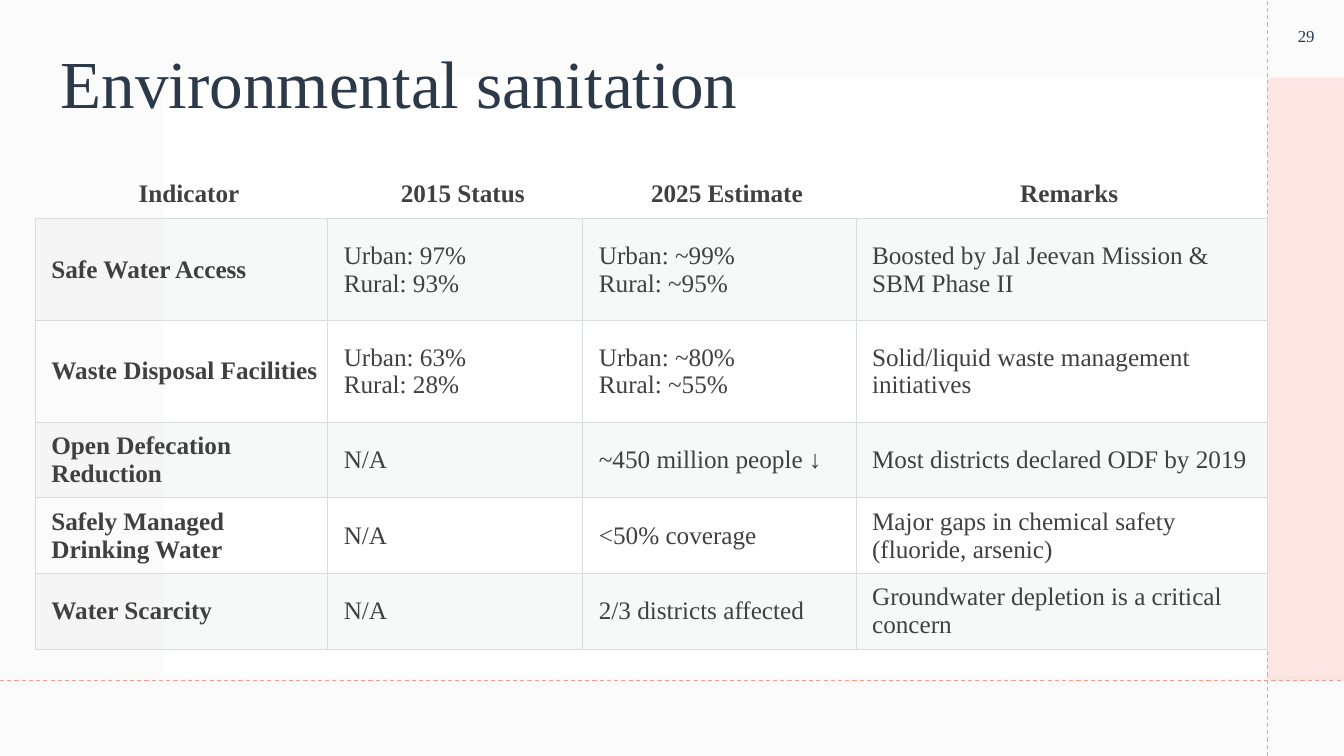
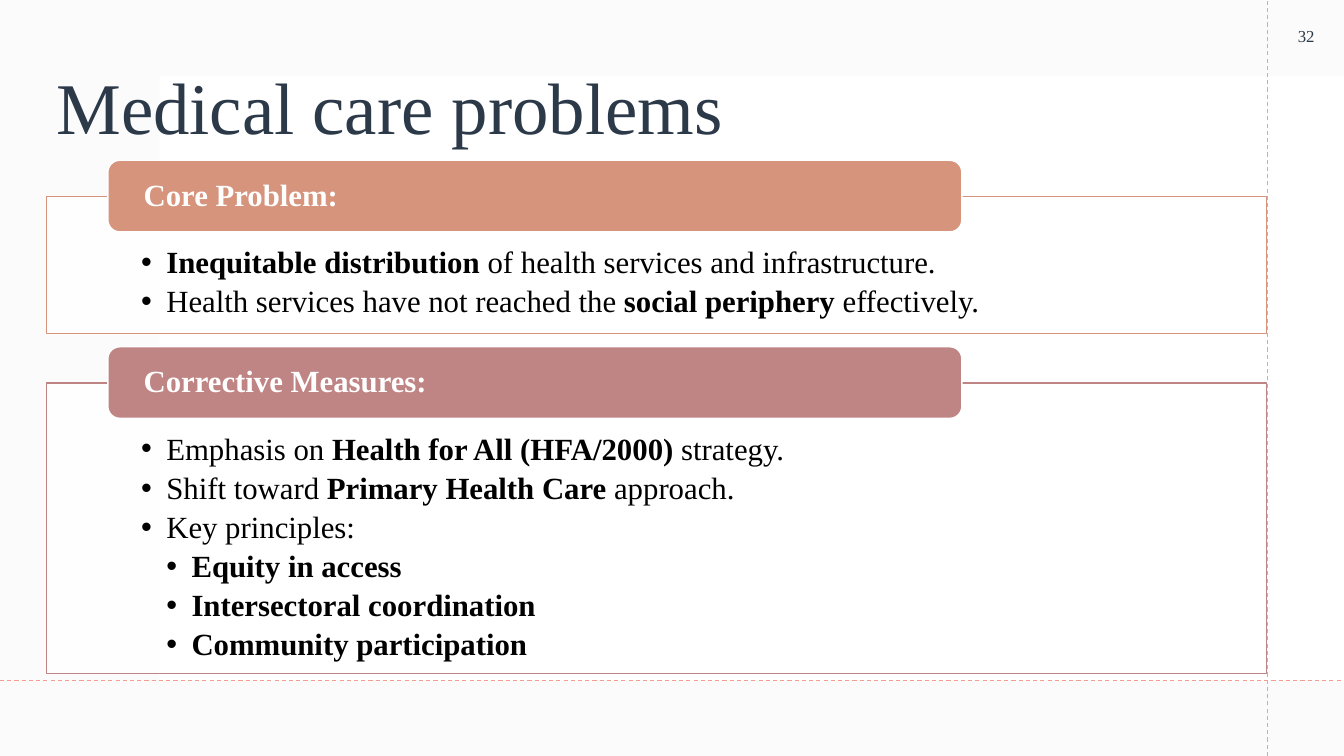
from lxml import etree
from pptx import Presentation
from pptx.dml.color import RGBColor
from pptx.enum.dml import MSO_LINE
from pptx.enum.shapes import MSO_CONNECTOR, MSO_SHAPE
from pptx.enum.text import MSO_ANCHOR, MSO_AUTO_SIZE, PP_ALIGN
from pptx.oxml.ns import qn
from pptx.util import Inches, Pt

RECT = MSO_SHAPE.RECTANGLE
ROUNDED = MSO_SHAPE.ROUNDED_RECTANGLE
STRAIGHT = MSO_CONNECTOR.STRAIGHT
DASH = MSO_LINE.DASH
TOP, MIDDLE, BOTTOM = MSO_ANCHOR.TOP, MSO_ANCHOR.MIDDLE, MSO_ANCHOR.BOTTOM
LEFT, CENTER = PP_ALIGN.LEFT, PP_ALIGN.CENTER
NO_AUTOFIT = MSO_AUTO_SIZE.NONE

FONT = "Times New Roman"
WIDTH, HEIGHT = 13.33, 7.5
GUIDE_X, GUIDE_Y = 12.57, 6.75
COLORS = {
    "white": "FFFFFF",
    "black": "000000",
    "title": "2C3948",
    "frame": "F4F4F4",
    "accent": "F49D90",
    "table_text": "404040",
    "border": "D8DCDC",
    "band": "D8DEDC",
    "problem": "D6947C",
    "measures": "BF8484",
}

COLUMN_WIDTHS = [2.9, 2.53, 2.71, 4.08]
ROW_HEIGHTS = [0.5, 1.01, 1.01, 0.75, 0.75, 0.75]
INDICATORS = [
    ["Indicator", "2015 Status", "2025 Estimate", "Remarks"],
    ["Safe Water Access", "Urban: 97%\nRural: 93%", "Urban: ~99%\nRural: ~95%",
     "Boosted by Jal Jeevan Mission & SBM Phase II"],
    ["Waste Disposal Facilities", "Urban: 63%\nRural: 28%", "Urban: ~80%\nRural: ~55%",
     "Solid/liquid waste management initiatives"],
    ["Open Defecation Reduction", "N/A", "~450 million people ↓",
     "Most districts declared ODF by 2019"],
    ["Safely Managed Drinking Water", "N/A", "<50% coverage",
     "Major gaps in chemical safety (fluoride, arsenic)"],
    ["Water Scarcity", "N/A", "2/3 districts affected",
     "Groundwater depletion is a critical concern"],
]

CORE_PROBLEM = [
    (1, [("Inequitable distribution", True),
         (" of health services and infrastructure.", False)]),
    (1, [("Health services have not reached the ", False),
         ("social periphery", True), (" effectively.", False)]),
]
CORRECTIVE_MEASURES = [
    (1, [("Emphasis on ", False), ("Health for All (HFA/2000)", True),
         (" strategy.", False)]),
    (1, [("Shift toward ", False), ("Primary Health Care", True),
         (" approach.", False)]),
    (1, [("Key principles:", False)]),
    (2, [("Equity in access", True)]),
    (2, [("Intersectoral coordination", True)]),
    (2, [("Community participation", True)]),
]


def rgb(name):
    return RGBColor.from_string(COLORS[name])


def set_fill(fill, color, opacity=100):
    fill.solid()
    fill.fore_color.rgb = rgb(color)
    if opacity < 100:
        srgb = fill._xPr.find(".//" + qn("a:srgbClr"))
        etree.SubElement(srgb, qn("a:alpha"), val=str(opacity * 1000))


def add_run(p, text, size, color, bold=False):
    r = p.add_run()
    r.text = text
    r.font.name = FONT
    r.font.size = Pt(size)
    r.font.bold = bold
    r.font.color.rgb = rgb(color)


def set_frame(tf, anchor, insets):
    tf.word_wrap = True
    tf.auto_size = NO_AUTOFIT
    tf.vertical_anchor = anchor
    tf.margin_left, tf.margin_top, tf.margin_right, tf.margin_bottom = map(Inches, insets)


def add_box(slide, kind, box, color, opacity=100, line=None):
    sp = slide.shapes.add_shape(kind, *map(Inches, box))
    sp.shadow.inherit = False
    set_fill(sp.fill, color, opacity)
    if line:
        sp.line.color.rgb = rgb(line)
        sp.line.width = Pt(1)
    else:
        sp.line.fill.background()
    return sp


def add_guide(slide, x1, y1, x2, y2):
    line = slide.shapes.add_connector(STRAIGHT, *map(Inches, (x1, y1, x2, y2)))
    line.line.color.rgb = rgb("accent")
    line.line.width = Pt(0.75)
    line.line.dash_style = DASH
    etree.SubElement(line._element.spPr, qn("a:effectLst"))


def set_title(slide, text, box, size, anchor):
    title = slide.shapes.title
    title.element.getparent().append(title.element)
    title.left, title.top, title.width, title.height = map(Inches, box)
    tf = title.text_frame
    set_frame(tf, anchor, (0.1, 0.05, 0.1, 0.05))
    p = tf.paragraphs[0]
    p.alignment = LEFT
    p.line_spacing = 0.9
    add_run(p, text, size, "title")


def add_number(slide, number):
    box = slide.shapes.add_textbox(*map(Inches, (12.58, -0.02, 0.75, 0.75)))
    set_frame(box.text_frame, MIDDLE, (0.1, 0.05, 0.1, 0.05))
    p = box.text_frame.paragraphs[0]
    p.alignment = CENTER
    p.space_after = Pt(6)
    add_run(p, number, 12, "title")


def add_base_slide(prs, title, title_box, size, anchor, number, panel, side_band=False):
    slide = prs.slides.add_slide(prs.slide_layouts[5])
    left, top, bottom = panel
    add_box(slide, RECT, (0, 0, WIDTH, HEIGHT), "frame", 35)
    add_box(slide, RECT, (left, top, WIDTH - left, bottom - top), "white")
    if side_band:
        add_box(slide, RECT, (GUIDE_X, top, WIDTH - GUIDE_X, GUIDE_Y - top), "accent", 25)
    set_title(slide, title, title_box, size, anchor)
    add_number(slide, number)
    add_guide(slide, GUIDE_X, HEIGHT, GUIDE_X, 0)
    add_guide(slide, 0, GUIDE_Y, WIDTH, GUIDE_Y)
    return slide


def set_borders(cell, visible_sides):
    tc_pr = cell._tc.get_or_add_tcPr()
    for i, side in enumerate("LRTB"):
        ln = etree.Element(qn("a:ln" + side), w=str(Pt(0.75)))
        if side in visible_sides:
            solid = etree.SubElement(ln, qn("a:solidFill"))
            etree.SubElement(solid, qn("a:srgbClr"), val=COLORS["border"])
        else:
            etree.SubElement(ln, qn("a:noFill"))
        tc_pr.insert(i, ln)


def fill_cell(cell, text, row, col):
    header = row == 0
    cell.vertical_anchor = MIDDLE
    cell.margin_left, cell.margin_right = Inches(0.16), Inches(0.01)
    cell.margin_top = cell.margin_bottom = Inches(0.08)
    if row % 2:
        set_fill(cell.fill, "band", 20)
    else:
        cell.fill.background()
    set_borders(cell, "B" if header else "LRTB")
    tf = cell.text_frame
    for i, line in enumerate(text.split("\n")):
        p = tf.add_paragraph() if i else tf.paragraphs[0]
        p.alignment = CENTER if header else LEFT
        add_run(p, line, 18, "table_text", header or col == 0)


def add_indicator_table(slide):
    frame = slide.shapes.add_table(
        len(ROW_HEIGHTS), len(COLUMN_WIDTHS), Inches(0.35), Inches(1.67),
        Inches(sum(COLUMN_WIDTHS)), Inches(sum(ROW_HEIGHTS)))
    table = frame.table
    table.horz_banding = False
    for column, width in zip(table.columns, COLUMN_WIDTHS):
        column.width = Inches(width)
    for row, height in zip(table.rows, ROW_HEIGHTS):
        row.height = Inches(height)
    for i, texts in enumerate(INDICATORS):
        for j, text in enumerate(texts):
            fill_cell(table.cell(i, j), text, i, j)


def add_bullet(p, level, runs):
    p.level = level
    p_pr = p._p.get_or_add_pPr()
    p_pr.set("marL", str(Inches(0.25 * level)))
    p_pr.set("indent", str(Inches(-0.25)))
    etree.SubElement(p_pr, qn("a:buFont"), typeface="Arial")
    etree.SubElement(p_pr, qn("a:buChar"), char="•")
    p.alignment = LEFT
    p.line_spacing = 0.9
    p.space_after = Pt(4.2)
    for text, bold in runs:
        add_run(p, text, 22, "black", bold)


def add_section(slide, heading, bullets, top, height, color):
    body = add_box(slide, RECT, (0.46, top, 12.1, height), "white", 90, color)
    tf = body.text_frame
    set_frame(tf, TOP, (0.94, 0.5, 0.94, 0.17))
    for i, (level, runs) in enumerate(bullets):
        add_bullet(tf.add_paragraph() if i else tf.paragraphs[0], level, runs)

    label = add_box(slide, ROUNDED, (1.07, top - 0.36, 8.47, 0.71), color, line="white")
    set_frame(label.text_frame, MIDDLE, (0.32, 0, 0.32, 0))
    p = label.text_frame.paragraphs[0]
    p.alignment = LEFT
    p.line_spacing = 0.9
    add_run(p, heading, 22, "white", True)


def main():
    prs = Presentation()
    prs.slide_width, prs.slide_height = Inches(WIDTH), Inches(HEIGHT)

    slide = add_base_slide(prs, "Environmental sanitation", (0.5, 0.23, 9.05, 1.04),
                           48, BOTTOM, "29", (1.62, 0.77, 6.71), side_band=True)
    add_indicator_table(slide)

    slide = add_base_slide(prs, "Medical care problems", (0.46, 0.66, 11.87, 1.9),
                           52, TOP, "32", (1.58, 0.75, 6.75))
    add_section(slide, "Core Problem:", CORE_PROBLEM, 1.95, 1.36, "problem")
    add_section(slide, "Corrective Measures:", CORRECTIVE_MEASURES, 3.8, 2.88, "measures")

    prs.save("out.pptx")


if __name__ == "__main__":
    main()
